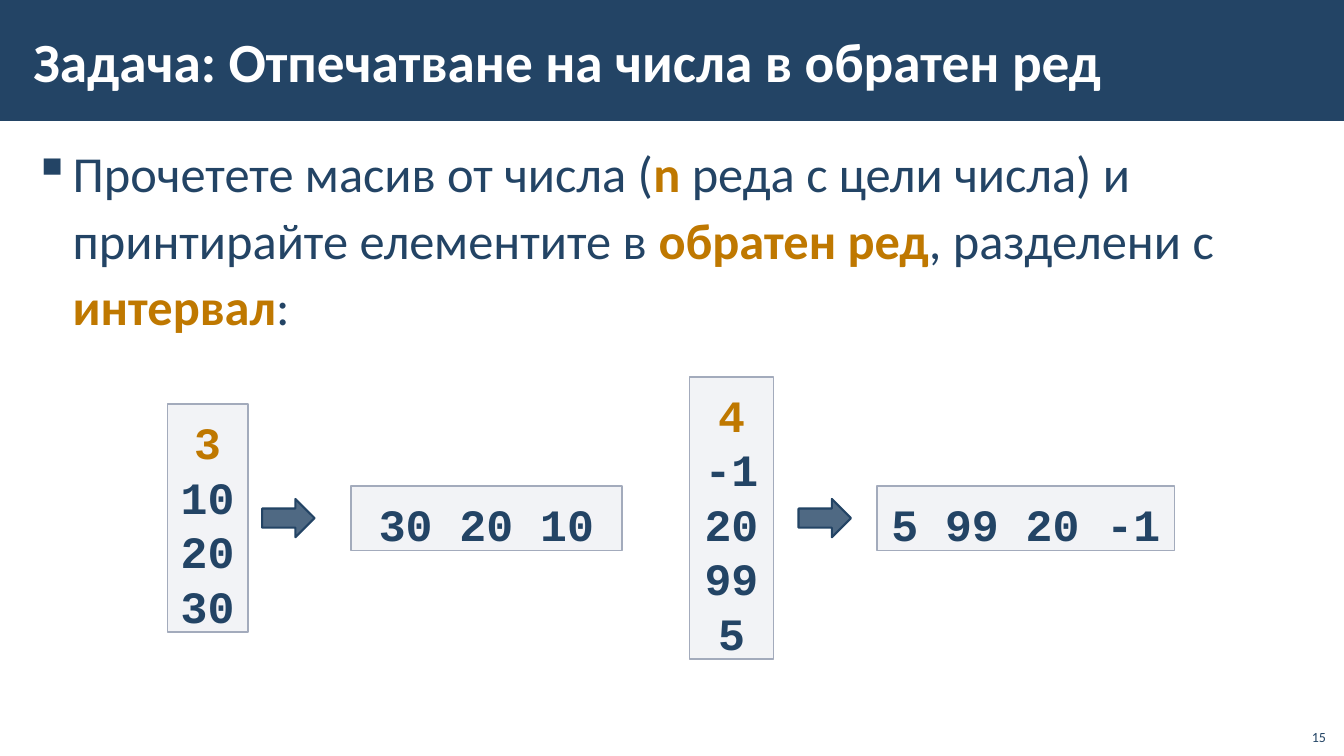
import pptx
import pptx.util
import pptx.dml.color
import pptx.enum.shapes
import pptx.enum.text
import pptx.oxml
import lxml.etree
from pptx.util import Inches, Pt

TITLE = "Задача: Отпечатване на числа в обратен ред"
# Lines of the task; each piece is (text, highlighted)
TASK = [
    [("Прочетете масив от числа (", False), ("n ", True), ("реда с цели числа) и", False)],
    [("принтирайте елементите в ", False), ("обратен ред", True), (", разделени с", False)],
    [("интервал", True), (":", False)],
]
# Left and width of the input box, the arrow and the output box
EXAMPLES = [
    {"input": ["3", "10", "20", "30"], "output": "30 20 10",
     "in_x": (1.66, 0.8), "arrow_x": 2.6, "out_x": (3.48, 2.69)},
    {"input": ["4", "-1", "20", "99", "5"], "output": "5 99 20 -1",
     "in_x": (6.84, 0.83), "arrow_x": 7.92, "out_x": (8.7, 2.95)},
]
PAGE = "15"

THEME = {
    "navy": "234465", "gold": "BF7800", "white": "FFFFFF",
    "box": "C2C7D2", "box_line": "A3ABBC",
    "body_font": "Calibri", "code_font": "Courier New",
    "title": 39.5, "body": 36, "code": 32, "page": 10,
}
CENTER_Y = 5.14
LINE_H, BOX_PAD = 0.54, 0.1
ARROW_W, ARROW_H = 0.52, 0.38

SHAPES = pptx.enum.shapes.MSO_SHAPE
ALIGN = pptx.enum.text.PP_ALIGN
ANCHOR = pptx.enum.text.MSO_ANCHOR


def rgb(name):
    return pptx.dml.color.RGBColor.from_string(THEME[name])


def style(r, size, color, bold=False, font="body_font"):
    r.font.name = THEME[font]
    r.font.size = Pt(THEME[size])
    r.font.bold = bold
    r.font.color.rgb = rgb(color)


def set_frame(tf, left, top, right, bottom, anchor=ANCHOR.TOP, wrap=True):
    tf.margin_left, tf.margin_top = Inches(left), Inches(top)
    tf.margin_right, tf.margin_bottom = Inches(right), Inches(bottom)
    tf.vertical_anchor = anchor
    tf.word_wrap = wrap
    tf.auto_size = pptx.enum.text.MSO_AUTO_SIZE.NONE


def add_shape(s, kind, x, y, w, h, fill, opacity=100, line=None, line_width=1):
    sp = s.shapes.add_shape(kind, Inches(x), Inches(y), Inches(w), Inches(h))
    sp.shadow.inherit = False
    sp.fill.solid()
    sp.fill.fore_color.rgb = rgb(fill)
    if opacity < 100:
        clr = sp.fill._xPr.find(".//" + pptx.oxml.ns.qn("a:srgbClr"))
        lxml.etree.SubElement(clr, pptx.oxml.ns.qn("a:alpha"), val=str(opacity * 1000))
    if line:
        sp.line.color.rgb = rgb(line)
        sp.line.width = Pt(line_width)
    else:
        sp.line.fill.background()
    return sp


def add_code_box(s, x, w, lines, first_color="navy"):
    """Box centred on the example row, as tall as its lines."""
    h = len(lines) * LINE_H + BOX_PAD
    sp = add_shape(s, SHAPES.RECTANGLE, x, CENTER_Y - h / 2, w, h, "box", 20, "box_line")
    tf = sp.text_frame
    set_frame(tf, 0.1, BOX_PAD, 0.1, 0, wrap=False)
    tf.text = "\n".join(lines)
    for i, p in enumerate(tf.paragraphs):
        p.alignment = ALIGN.CENTER
        p.line_spacing = Inches(LINE_H)
        style(p.runs[0], "code", "navy" if i else first_color, True, "code_font")


def add_title(s):
    bar = add_shape(s, SHAPES.RECTANGLE, 0, 0, 13.34, 1.2, "navy")
    title = s.shapes.title
    title._element.addprevious(bar._element)
    title.left, title.top = Inches(0.21), Inches(0.11)
    title.width, title.height = Inches(11.23), Inches(0.97)
    tf = title.text_frame
    set_frame(tf, 0.12, 0.04, 0.12, 0.04, ANCHOR.MIDDLE)
    tf.text = TITLE
    p = tf.paragraphs[0]
    p.alignment = ALIGN.LEFT
    style(p.runs[0], "title", "white", True)


def add_task(s):
    tb = s.shapes.add_textbox(Inches(0.21), Inches(1.31), Inches(12.92), Inches(6.05))
    set_frame(tb.text_frame, 0.12, 0.04, 0.12, 0.04)
    p = tb.text_frame.paragraphs[0]
    p.line_spacing = 1.1
    p.space_before = p.space_after = Pt(6)
    for i, line in enumerate(TASK):
        if i:
            p.add_line_break()
        for text, highlighted in line:
            r = p.add_run()
            r.text = text
            style(r, "body", "gold" if highlighted else "navy", highlighted)
    pPr = p._p.get_or_add_pPr()
    pPr.set("marL", str(Inches(0.39)))
    pPr.set("indent", str(-Inches(0.39)))
    lxml.etree.SubElement(pPr, pptx.oxml.ns.qn("a:buChar"), char="▪")


def add_page_number(s):
    tb = s.shapes.add_textbox(Inches(12.85), Inches(7.12), Inches(0.4), Inches(0.32))
    tf = tb.text_frame
    set_frame(tf, 0.1, 0.05, 0.1, 0.05, ANCHOR.BOTTOM)
    tf.text = PAGE
    p = tf.paragraphs[0]
    p.alignment = ALIGN.RIGHT
    style(p.runs[0], "page", "navy")


def main():
    prs = pptx.Presentation()
    prs.slide_width, prs.slide_height = Inches(13.33), Inches(7.5)
    s = prs.slides.add_slide(prs.slide_layouts[5])
    add_title(s)
    add_task(s)
    for ex in EXAMPLES:
        add_code_box(s, *ex["in_x"], ex["input"], "gold")
        add_code_box(s, *ex["out_x"], [ex["output"]])
        add_shape(s, SHAPES.RIGHT_ARROW, ex["arrow_x"], CENTER_Y - ARROW_H / 2,
                  ARROW_W, ARROW_H, "navy", 80, "navy", 1.5)
    add_page_number(s)
    prs.save("out.pptx")


if __name__ == "__main__":
    main()
